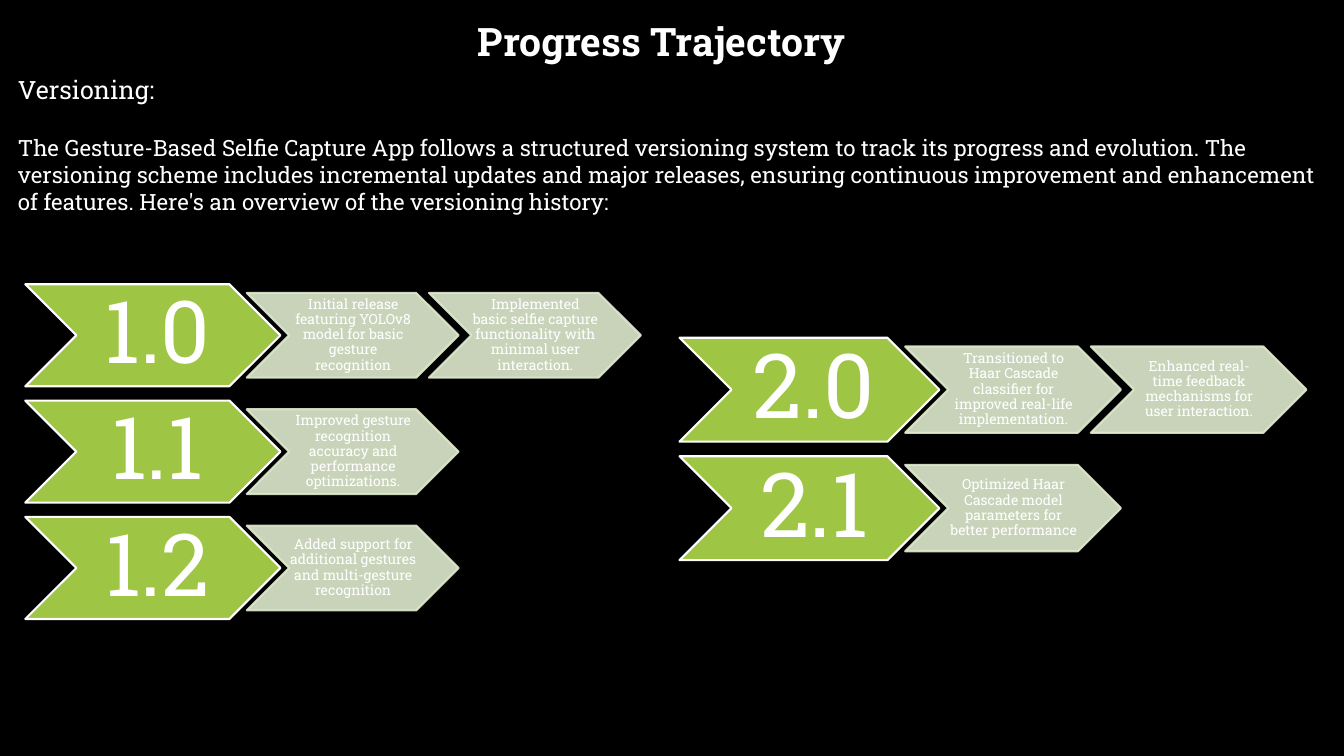
"""Build the Progress Trajectory slide with its two version tracks."""

from dataclasses import dataclass

import lxml.etree
import pptx
import pptx.dml.color
import pptx.dml.fill
import pptx.enum.shapes
import pptx.enum.text
import pptx.oxml.ns
import pptx.shapes.autoshape
import pptx.shapes.group
import pptx.slide
import pptx.text.text
import pptx.util

BLACK = pptx.dml.color.RGBColor(0x00, 0x00, 0x00)
WHITE = pptx.dml.color.RGBColor(0xFF, 0xFF, 0xFF)
GREEN = pptx.dml.color.RGBColor(0x9E, 0xC5, 0x44)
PALE_GREEN = pptx.dml.color.RGBColor(0xDF, 0xEA, 0xCF)

FONT = "Roboto Slab"
SLIDE_WIDTH = pptx.util.Inches(13.33)
SLIDE_HEIGHT = pptx.util.Inches(7.5)
COLUMN = SLIDE_WIDTH / 100
ROW = SLIDE_HEIGHT / 100

CHEVRON_ASPECT = 2.5
ROW_PITCH = 1.14
DETAIL_SCALE = 0.83
DETAIL_OFFSET = 2.17
DETAIL_PITCH = 1.785


@dataclass(frozen=True)
class Area:
    """Position and size in columns and rows of the slide grid."""

    column: float
    row: float
    columns: float
    rows: float


@dataclass(frozen=True)
class Release:
    """A version number and what it brought."""

    version: str
    details: tuple[str, ...]


@dataclass(frozen=True)
class Track:
    """A stack of releases, placed in grid columns and rows."""

    column: float
    row: float
    rows: float
    version_size: int
    releases: tuple[Release, ...]


@dataclass(frozen=True)
class ChevronStyle:
    """Colours, opacity, text size and insets of a chevron."""

    fill: pptx.dml.color.RGBColor
    line: pptx.dml.color.RGBColor
    opacity: int
    size: int
    side_inset: float
    edge_inset: float


TITLE_AREA = Area(34.81, 1.6, 30.38, 7.6)
INTRO_AREA = Area(0.6, 9.2, 98.8, 23.73)
INTRO = (
    "The Gesture-Based Selfie Capture App follows a structured versioning system to track its "
    "progress and evolution. The versioning scheme includes incremental updates and major "
    "releases, ensuring continuous improvement and enhancement of features. Here's an overview "
    "of the versioning history:"
)
TRACKS = (
    Track(1.88, 37.6, 13.5, 62, (
        Release("1.0", (
            "Initial release featuring YOLOv8 model for basic gesture recognition",
            "Implemented basic selfie capture functionality with minimal user interaction.",
        )),
        Release("1.1", (
            "Improved gesture recognition accuracy and performance optimizations.",
        )),
        Release("1.2", (
            "Added support for additional gestures and multi-gesture recognition",
        )),
    )),
    Track(50.56, 44.67, 13.75, 64, (
        Release("2.0", (
            "Transitioned to Haar Cascade classifier for improved real-life implementation.",
            "Enhanced real-time feedback mechanisms for user interaction.",
        )),
        Release("2.1", (
            "Optimized Haar Cascade model parameters for better performance",
        )),
    )),
)


def write(paragraph: pptx.text.text._Paragraph, text: str, size: int, bold: bool = False) -> None:
    """Put white text in a paragraph."""
    paragraph.text = text
    paragraph.font.name = FONT
    paragraph.font.size = pptx.util.Pt(size)
    paragraph.font.bold = bold
    paragraph.font.color.rgb = WHITE


def add_text_area(slide: pptx.slide.Slide, area: Area) -> pptx.text.text.TextFrame:
    """Add a wrapping text box and return its frame."""
    frame = slide.shapes.add_textbox(
        round(area.column * COLUMN), round(area.row * ROW),
        round(area.columns * COLUMN), round(area.rows * ROW),
    ).text_frame
    frame.word_wrap = True
    frame.auto_size = pptx.enum.text.MSO_AUTO_SIZE.SHAPE_TO_FIT_TEXT
    return frame


def paint(fill: pptx.dml.fill.FillFormat, color: pptx.dml.color.RGBColor) -> None:
    """Make a fill solid in one colour."""
    fill.solid()
    fill.fore_color.rgb = color


def set_opacity(chevron: pptx.shapes.autoshape.Shape, percent: int) -> None:
    """Apply an opacity to the fill and the line of a chevron."""
    properties = chevron.fill._xPr
    for color in properties.iter(pptx.oxml.ns.qn("a:srgbClr")):
        alpha = lxml.etree.SubElement(color, pptx.oxml.ns.qn("a:alpha"))
        alpha.set("val", str(percent * 1000))


def add_chevron(group: pptx.shapes.group.GroupShape, left: float, middle: float,
                height: float, text: str, style: ChevronStyle) -> None:
    """Add a chevron with centred text around a middle line."""
    chevron = group.shapes.add_shape(
        pptx.enum.shapes.MSO_SHAPE.CHEVRON, round(left), round(middle - height / 2),
        round(height * CHEVRON_ASPECT), round(height),
    )
    chevron.shadow.inherit = False
    paint(chevron.fill, style.fill)
    paint(chevron.line.fill, style.line)
    chevron.line.width = pptx.util.Pt(1.5)
    if style.opacity < 100:
        set_opacity(chevron, style.opacity)
    frame = chevron.text_frame
    frame.word_wrap = True
    frame.vertical_anchor = pptx.enum.text.MSO_ANCHOR.MIDDLE
    frame.margin_left = pptx.util.Inches(style.side_inset)
    frame.margin_right = 0
    frame.margin_top = frame.margin_bottom = pptx.util.Inches(style.edge_inset)
    label = frame.paragraphs[0]
    write(label, text, style.size)
    label.alignment = pptx.enum.text.PP_ALIGN.CENTER
    label.line_spacing = 0.9


def add_track(slide: pptx.slide.Slide, track: Track) -> None:
    """Draw every release of a track as a row of chevrons."""
    version_style = ChevronStyle(GREEN, WHITE, 100, track.version_size, 0.09, 0.04)
    detail_style = ChevronStyle(PALE_GREEN, PALE_GREEN, 90, 10, 0.01, 0.01)
    group = slide.shapes.add_group_shape()
    left, height = track.column * COLUMN, track.rows * ROW
    for index, release in enumerate(track.releases):
        middle = track.row * ROW + (index * ROW_PITCH + 0.5) * height
        add_chevron(group, left, middle, height, release.version, version_style)
        for step, detail in enumerate(release.details):
            detail_left = left + (DETAIL_OFFSET + step * DETAIL_PITCH) * height
            add_chevron(group, detail_left, middle, height * DETAIL_SCALE, detail, detail_style)


def main() -> None:
    """Build and save the presentation."""
    presentation = pptx.Presentation()
    presentation.slide_width = SLIDE_WIDTH
    presentation.slide_height = SLIDE_HEIGHT
    slide = presentation.slides.add_slide(presentation.slide_layouts[6])
    paint(slide.background.fill, BLACK)

    intro = add_text_area(slide, INTRO_AREA)
    write(intro.paragraphs[0], "Versioning:", 18)
    overview = intro.add_paragraph()
    write(overview, INTRO, 16)
    overview.space_before = pptx.util.Pt(21)
    write(add_text_area(slide, TITLE_AREA).paragraphs[0], "Progress Trajectory", 28, bold=True)

    for track in TRACKS:
        add_track(slide, track)
    presentation.save("out.pptx")


if __name__ == "__main__":
    main()
